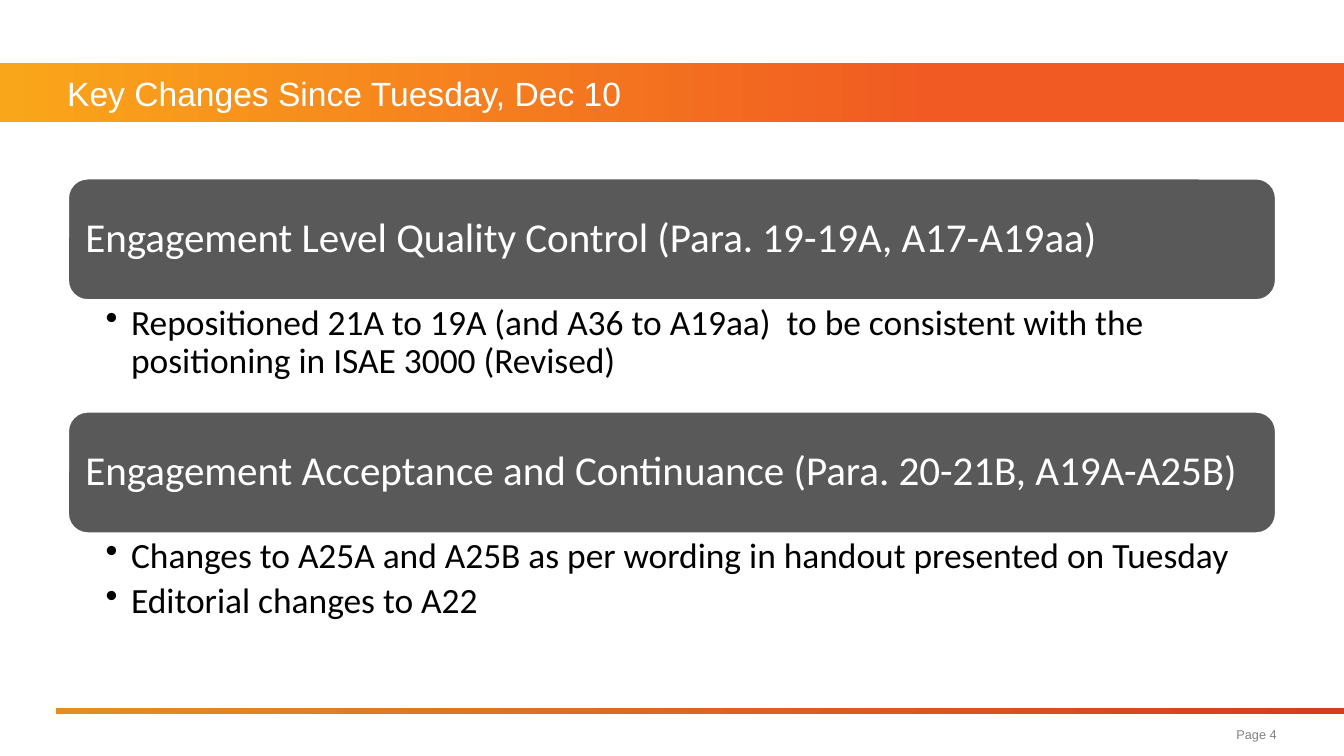
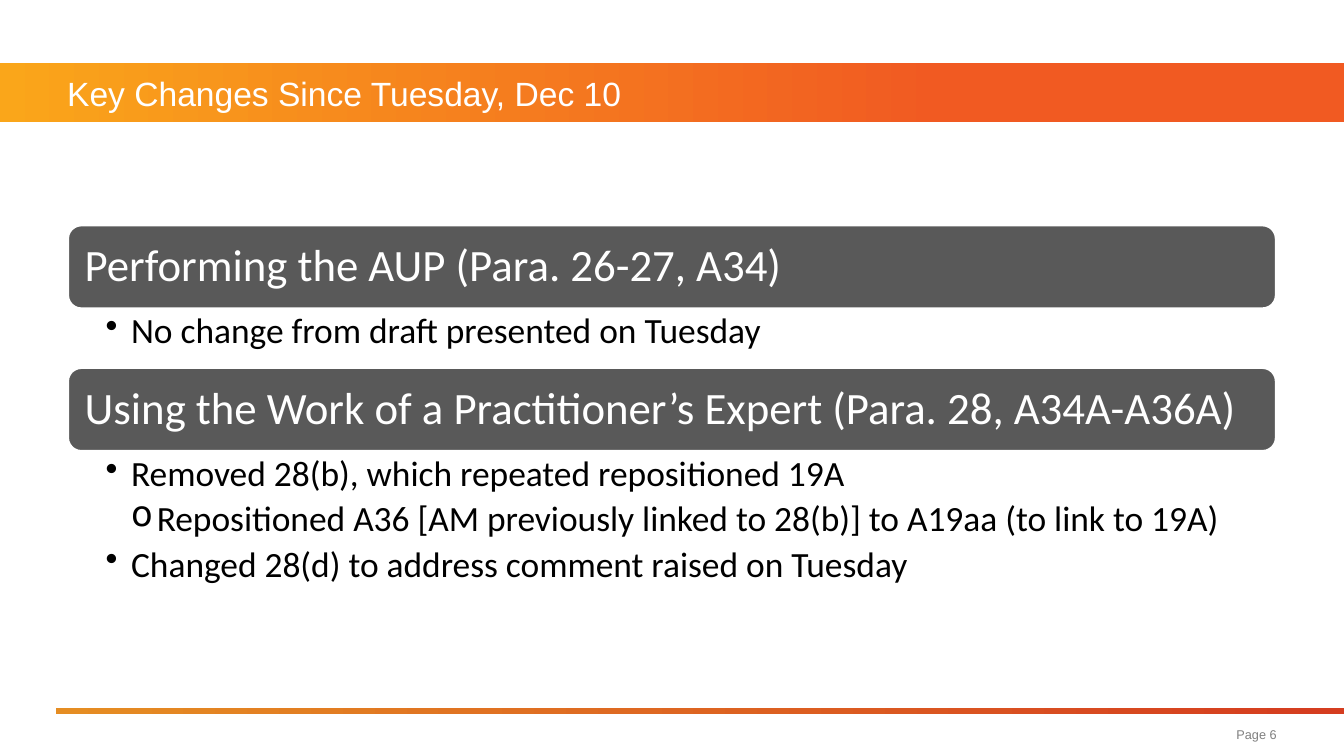
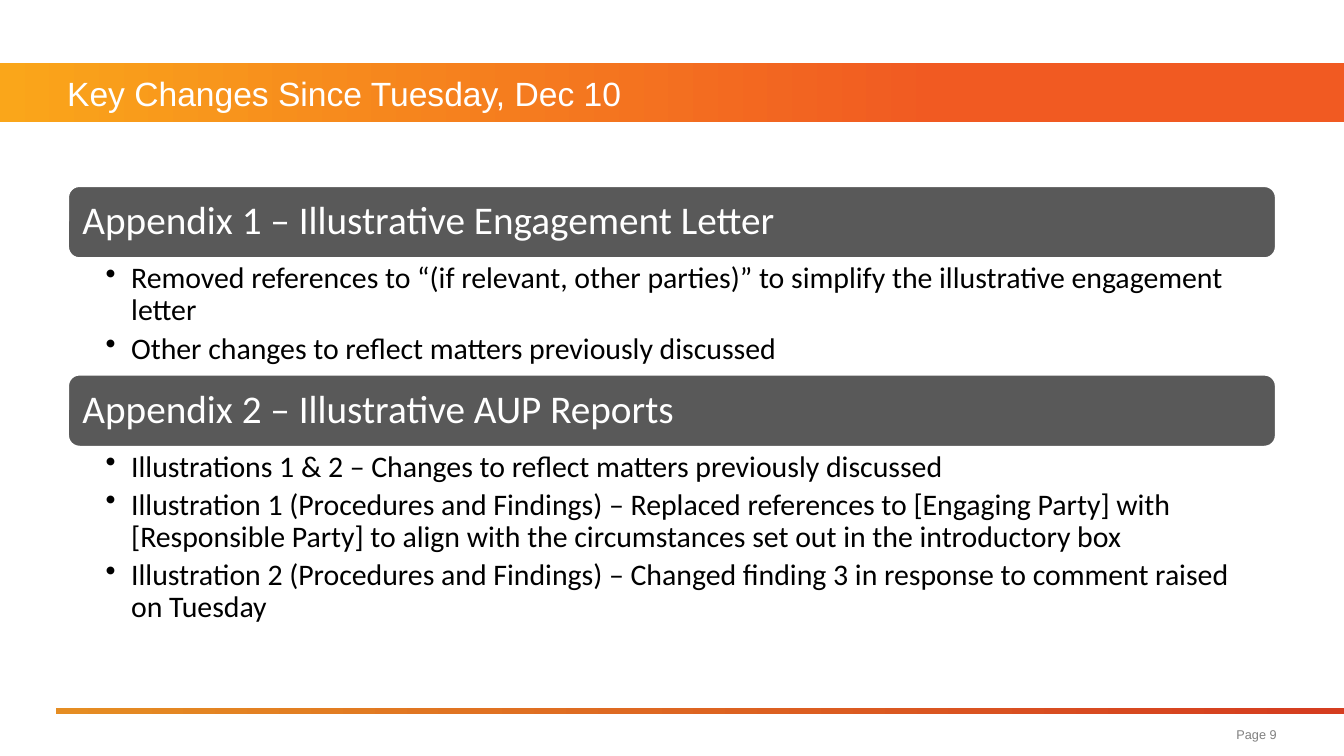
"""Build three slides of key changes, each with two headed bullet lists."""
from lxml.etree import SubElement
from pptx import Presentation
from pptx.dml.color import RGBColor
from pptx.enum.shapes import MSO_SHAPE
from pptx.enum.text import MSO_ANCHOR, PP_ALIGN
from pptx.oxml.ns import qn
from pptx.util import Pt

TITLE = "Key Changes Since Tuesday, Dec 10"
WHITE, BLACK, DARK, GREY = "FFFFFF", "000000", "595959", "808080"
WIDE, HIGH = 720, 405
LEFT, SPAN = 36, 648
STEP = 13.7

SLIDES = [
    dict(page=4, top=95.2, bar=66.1, head=22, body=19, right=10.8, parts=[
        ("Engagement Level Quality Control (Para. 19-19A, A17-A19aa)", 58.8, [
            (1, "Repositioned 21A to 19A (and A36 to A19aa)  to be consistent with the positioning in ISAE 3000 (Revised)"),
        ]),
        ("Engagement Acceptance and Continuance (Para. 20-21B, A19A-A25B)", 58.8, [
            (1, "Changes to A25A and A25B as per wording in handout presented on Tuesday"),
            (1, "Editorial changes to A22"),
        ]),
    ]),
    dict(page=6, top=120.3, bar=45.4, head=24, body=19, right=13.6, parts=[
        ("Performing the AUP (Para. 26-27, A34)", 31, [
            (1, "No change from draft presented on Tuesday"),
        ]),
        ("Using the Work of a Practitioner’s Expert (Para. 28, A34A-A36A)", 78.5, [
            (1, "Removed 28(b), which repeated repositioned 19A"),
            (2, "Repositioned A36 [AM previously linked to 28(b)] to A19aa (to link to 19A)"),
            (1, "Changed 28(d) to address comment raised on Tuesday"),
        ]),
    ]),
    dict(page=9, top=99.2, bar=39.6, head=21, body=16, right=11.4, parts=[
        ("Appendix 1 – Illustrative Engagement Letter", 61.4, [
            (1, "Removed references to “(if relevant, other parties)” to simplify the illustrative engagement letter"),
            (1, "Other changes to reflect matters previously discussed"),
        ]),
        ("Appendix 2 – Illustrative AUP Reports", 100.8, [
            (1, "Illustrations 1 & 2 – Changes to reflect matters previously discussed"),
            (1, "Illustration 1 (Procedures and Findings) – Replaced references to [Engaging Party] with [Responsible Party] to align with the circumstances set out in the introductory box"),
            (1, "Illustration 2 (Procedures and Findings) – Changed finding 3 in response to comment raised on Tuesday"),
        ]),
    ]),
]


def tint(color, code):
    color.rgb = RGBColor.from_string(code)


def block(slide, kind, *area):
    shape = slide.shapes.add_shape(kind, *map(Pt, area))
    shape.shadow.inherit = False
    return shape


def blend(slide, area, stops):
    band = block(slide, MSO_SHAPE.RECTANGLE, *area)
    band.line.fill.background()
    band.fill.gradient()
    band.fill.gradient_angle = 0
    for stop, (place, code) in zip(band.fill.gradient_stops, stops):
        stop.position = place
        tint(stop.color, code)


def box(slide, *area):
    return slide.shapes.add_textbox(*map(Pt, area))


def mark(para, level):
    props = para._p.get_or_add_pPr()
    props.set("marL", str(Pt(STEP * level)))
    props.set("indent", str(-Pt(STEP)))
    SubElement(props, qn("a:buChar"), char="•" if level == 1 else "o")
    para.level = level


def write(shape, lines, size, color, font="Calibri", pad=(0, 0, 0, 0),
          anchor=MSO_ANCHOR.MIDDLE, align=PP_ALIGN.LEFT, lead=None, after=0):
    frame = shape.text_frame
    frame.word_wrap = True
    frame.vertical_anchor = anchor
    (frame.margin_left, frame.margin_top,
     frame.margin_right, frame.margin_bottom) = map(Pt, pad)
    for i, (level, line) in enumerate(lines):
        para = frame.add_paragraph() if i else frame.paragraphs[0]
        if level:
            mark(para, level)
        para.alignment = align
        para.line_spacing = lead
        para.space_after = Pt(after)
        run = para.add_run()
        run.text = line
        run.font.name = font
        run.font.size = Pt(size)
        tint(run.font.color, color)


def base(slide, page):
    blend(slide, (0, 33.8, WIDE, 31.7), [(0, "FAA61A"), (0.7, "F15A22")])
    blend(slide, (30, 379.6, WIDE - 30, 2.9), [(0, "E58D23"), (0.99, "D53D20")])
    write(box(slide, LEFT, 33.8, SPAN, 31.7), [(0, TITLE)], 18, WHITE, font="Arial")
    write(box(slide, 466.6, 384.5, 217.4, 18), [(0, f"Page {page}")], 6.8, GREY,
          font="Arial", align=PP_ALIGN.RIGHT)


def fill(slide, data):
    top, bar, head, body = (data[key] for key in ("top", "bar", "head", "body"))
    for name, high, items in data["parts"]:
        label = block(slide, MSO_SHAPE.ROUNDED_RECTANGLE, LEFT, top, SPAN, bar)
        label.fill.solid()
        tint(label.fill.fore_color, DARK)
        tint(label.line.color, WHITE)
        label.line.width = Pt(2)
        write(label, [(0, name)], head, WHITE, pad=[head * 0.3] * 4, lead=0.9)
        write(box(slide, LEFT, top + bar, SPAN, high), items, body, BLACK,
              pad=(20.6, 2, data["right"], 2), anchor=MSO_ANCHOR.TOP,
              lead=0.9, after=body * 0.2)
        top += bar + high


def main():
    deck = Presentation()
    deck.slide_width, deck.slide_height = Pt(WIDE), Pt(HIGH)
    for data in SLIDES:
        slide = deck.slides.add_slide(deck.slide_layouts[6])
        base(slide, data["page"])
        fill(slide, data)
    deck.save("out.pptx")


if __name__ == "__main__":
    main()
